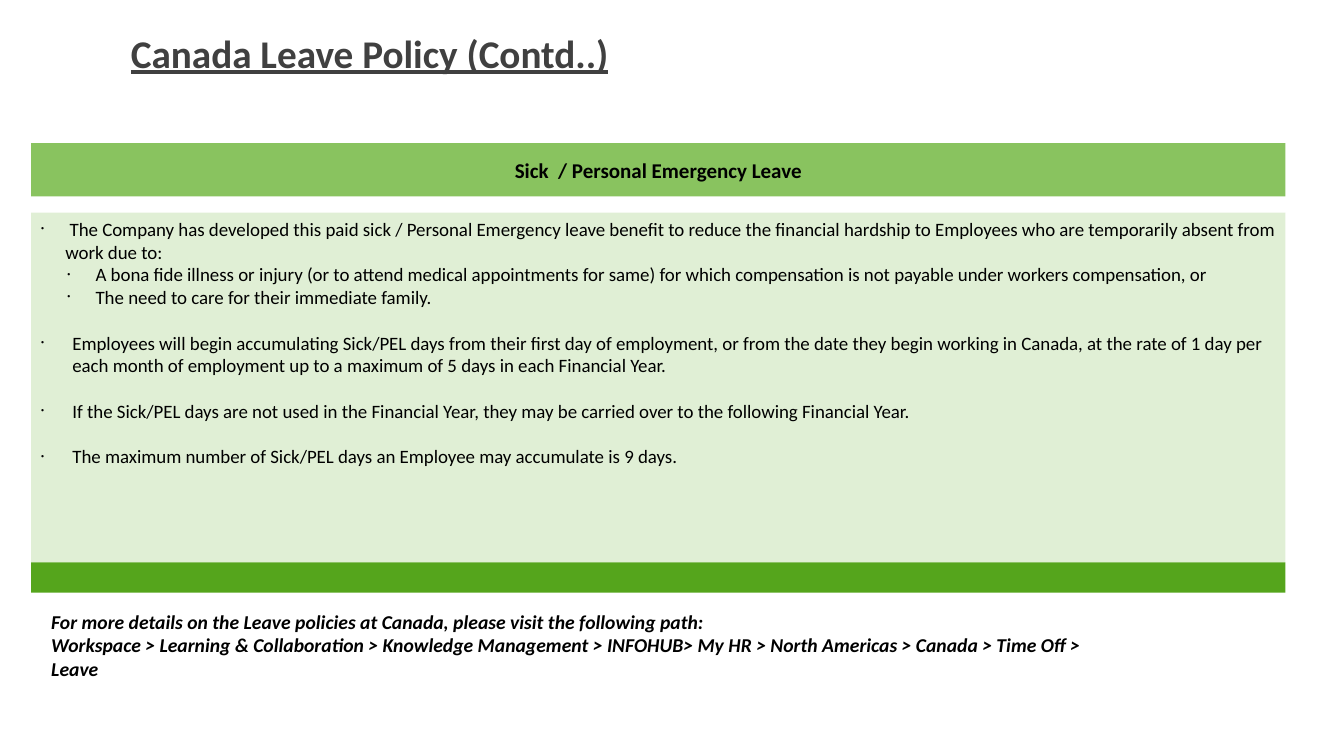
from pptx import Presentation
from pptx.dml.color import RGBColor
from pptx.enum.shapes import MSO_SHAPE as Shape
from pptx.enum.text import MSO_ANCHOR as Anchor, PP_ALIGN as Align
from pptx.oxml.ns import qn
from pptx.util import Inches, Pt
from lxml.etree import SubElement

FONT = "Calibri"
BODY_SIZE = 13.5
BLANK_LINE = 16.4  # points left between groups of bullets

# Text, left margin, hanging indent, space before
BULLETS = [
    (" The Company has developed this paid sick / Personal Emergency leave "
     "benefit to reduce the financial hardship to Employees who are "
     "temporarily absent from work due to:", 0.24, 0.24, 0),
    ("A bona fide illness or injury (or to attend medical appointments for "
     "same) for which compensation is not payable under workers "
     "compensation, or", 0.54, 0.28, 0),
    ("The need to care for their immediate family.", 0.54, 0.28, 0),
    ("Employees will begin accumulating Sick/PEL days from their first day of "
     "employment, or from the date they begin working in Canada, at the rate "
     "of 1 day per each month of employment up to a maximum of 5 days in each "
     "Financial Year.", 0.31, 0.31, BLANK_LINE),
    ("If the Sick/PEL days are not used in the Financial Year, they may be "
     "carried over to the following Financial Year.", 0.31, 0.31, BLANK_LINE),
    ("The maximum number of Sick/PEL days an Employee may accumulate is "
     "9 days.", 0.31, 0.31, BLANK_LINE),
]
FOOTNOTE = [
    "For more details on the Leave policies at Canada, please visit the "
    "following path:",
    "Workspace > Learning & Collaboration > Knowledge Management > INFOHUB> "
    "My HR > North Americas > Canada > Time Off > Leave",
]


def color(hex_string):
    return RGBColor.from_string(hex_string)


def add_text(frame, text, size=BODY_SIZE, fill="000000", bold=False,
             italic=False, underline=False, align=Align.LEFT, line_spacing=1.0,
             space_before=0):
    """Append a paragraph, using the frame's first one while it is empty."""
    frame.word_wrap = True
    first = frame.paragraphs[0]
    paragraph = frame.add_paragraph() if first.runs else first
    paragraph.alignment = align
    paragraph.line_spacing = line_spacing
    paragraph.space_before = Pt(space_before)
    run = paragraph.add_run()
    run.text = text
    font = run.font
    font.name, font.size = FONT, Pt(size)
    font.bold, font.italic, font.underline = bold, italic, underline
    font.color.rgb = color(fill)
    return paragraph


def add_bullet(paragraph, margin, hanging):
    properties = paragraph._p.get_or_add_pPr()
    properties.set("marL", str(Inches(margin)))
    properties.set("indent", str(-Inches(hanging)))
    bullet_color = SubElement(properties, qn("a:buClr"))
    SubElement(bullet_color, qn("a:srgbClr"), val="000000")
    SubElement(properties, qn("a:buSzPct"), val="45000")
    SubElement(properties, qn("a:buFont"), typeface="Arial")
    SubElement(properties, qn("a:buChar"), char="•")


def add_box(slide, left, top, width, height, fill, opacity=100):
    shape = slide.shapes.add_shape(Shape.RECTANGLE, Inches(left), Inches(top),
                                   Inches(width), Inches(height))
    shape.shadow.inherit = False
    shape.line.fill.background()
    shape.fill.solid()
    shape.fill.fore_color.rgb = color(fill)
    if opacity < 100:
        fill_color = shape._element.spPr.find(".//" + qn("a:srgbClr"))
        SubElement(fill_color, qn("a:alpha"), val=str(opacity * 1000))
    return shape


def add_text_box(slide, left, top, width, height):
    return slide.shapes.add_textbox(Inches(left), Inches(top), Inches(width),
                                    Inches(height)).text_frame


def add_title(slide, left, top, width, height):
    frame = add_text_box(slide, left, top, width, height)
    add_text(frame, "Canada Leave Policy (Contd..)", size=28, fill="404040",
             bold=True, underline=True, line_spacing=0.85)


def add_policy_panel(slide, left, top, width, height):
    header_height, gap, base_height = 0.53, 0.16, 0.3
    body_top = top + header_height + gap
    base_top = top + height - base_height

    # Body with bullets
    body = add_box(slide, left, body_top, width, base_top - body_top,
                   "CCE5BA", opacity=60)
    frame = body.text_frame
    frame.vertical_anchor = Anchor.TOP
    for text, margin, hanging, space_before in BULLETS:
        paragraph = add_text(frame, text, space_before=space_before)
        add_bullet(paragraph, margin, hanging)

    # Header band
    header = add_box(slide, left, top, width, header_height, "89C35F")
    header.text_frame.vertical_anchor = Anchor.MIDDLE
    add_text(header.text_frame, "Sick  / Personal Emergency Leave", size=15,
             bold=True, align=Align.CENTER)

    # Base band
    add_box(slide, left, base_top, width, base_height, "55A51C")


def add_footnote(slide, left, top, width, height):
    frame = add_text_box(slide, left, top, width, height)
    for line in FOOTNOTE:
        add_text(frame, line, size=14, bold=True, italic=True)


presentation = Presentation()
presentation.slide_width = Inches(13.33)
presentation.slide_height = Inches(7.5)
slide = presentation.slides.add_slide(presentation.slide_layouts[6])

add_title(slide, 1.2, 0.31, 11, 1.59)
add_policy_panel(slide, 0.31, 1.42, 12.44, 4.46)
add_footnote(slide, 0.41, 6, 10.62, 0.8)

presentation.save("out.pptx")
